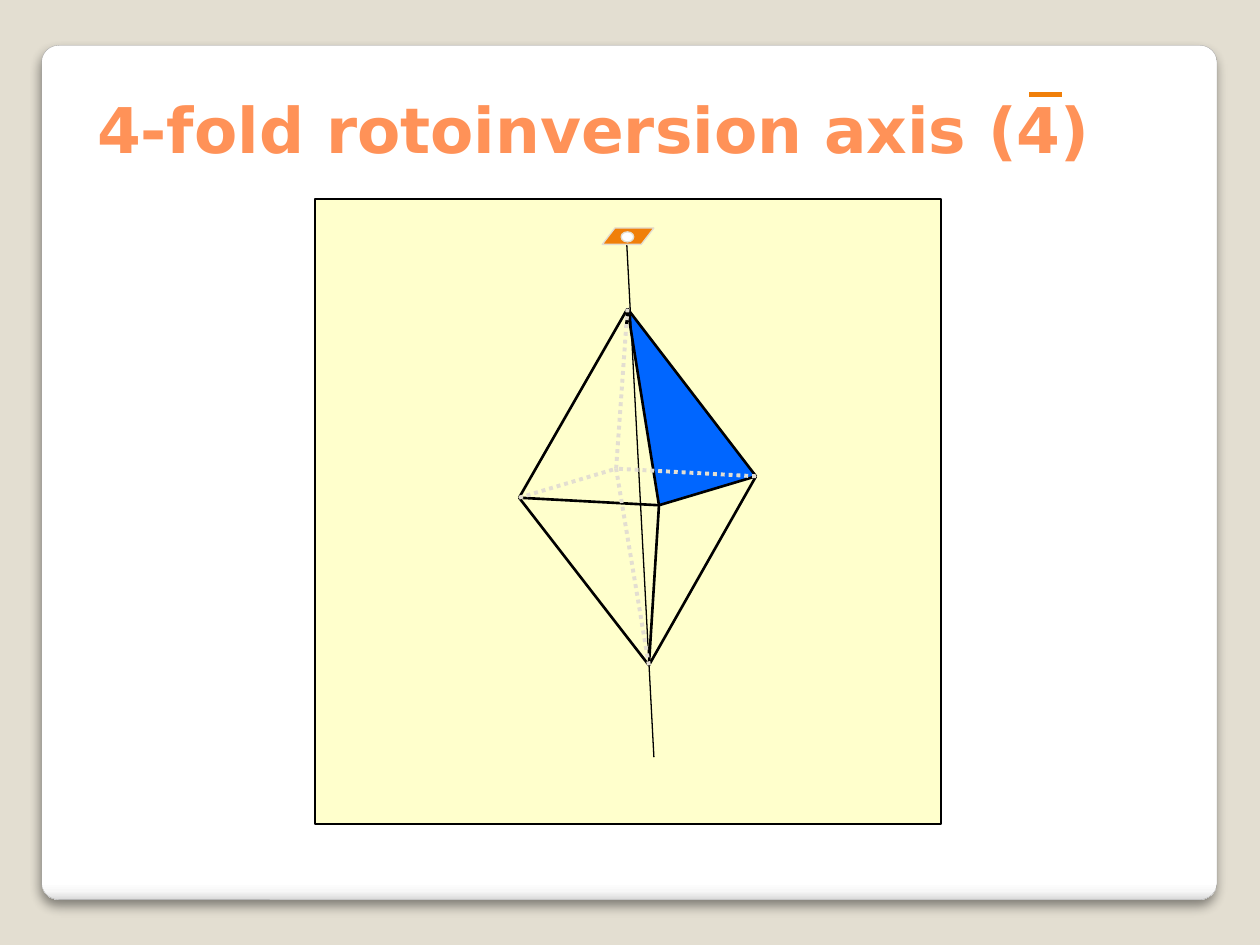
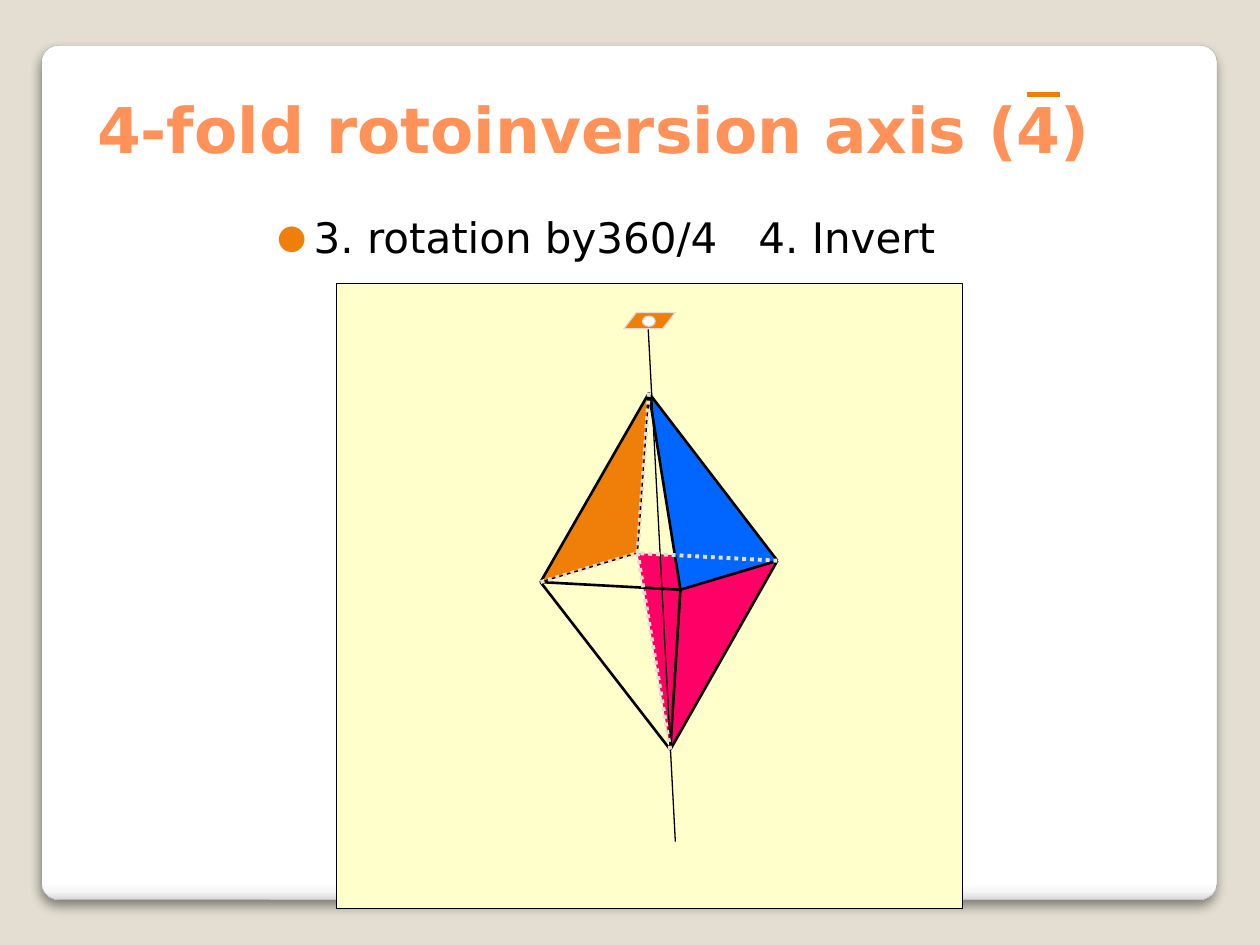
"""Builds two slides on the 4-fold rotoinversion axis."""
from lxml import etree
from pptx import Presentation
from pptx.dml.color import RGBColor
from pptx.enum.dml import MSO_LINE
from pptx.enum.shapes import MSO_CONNECTOR, MSO_SHAPE
from pptx.enum.text import MSO_ANCHOR, MSO_AUTO_SIZE, PP_ALIGN
from pptx.oxml.ns import qn
from pptx.util import Inches, Pt

LINE = MSO_CONNECTOR.STRAIGHT
DOT = MSO_LINE.ROUND_DOT
ROUND = MSO_SHAPE.ROUNDED_RECTANGLE
RECT = MSO_SHAPE.RECTANGLE
SLANT = MSO_SHAPE.PARALLELOGRAM
OVAL = MSO_SHAPE.OVAL
BOTTOM = MSO_ANCHOR.BOTTOM
FIXED = MSO_AUTO_SIZE.NONE
LEFT = PP_ALIGN.LEFT

SAND = RGBColor(0xE3, 0xDE, 0xD1)
GRAY = RGBColor(0xA4, 0xA4, 0xA4)
WHITE = RGBColor(0xFF, 0xFF, 0xFF)
BLACK = RGBColor(0, 0, 0)
CREAM = RGBColor(0xFF, 0xFF, 0xCC)
PEACH = RGBColor(0xFF, 0x92, 0x58)
ORANGE = RGBColor(0xF0, 0x7F, 0x09)
BLUE = RGBColor(0, 0x66, 0xFF)
PINK = RGBColor(0xFF, 0, 0x66)
FONT = "DejaVu Sans"

FADE = [(0, "FFFFFF"), (98, "FFFFFF"), (99, "F7F7F7"), (100, "DADADA")]
NODES = {"top": (2.48, 0.87), "right": (3.5, 2.2), "front": (2.73, 2.43),
         "left": (1.62, 2.37), "base": (2.65, 3.7), "back": (2.39, 2.14)}
EDGES = [("top", "front"), ("top", "right"), ("top", "left"),
         ("front", "right"), ("front", "left"), ("front", "base"),
         ("right", "base"), ("left", "base")]
HIDDEN = [("left", "back"), ("back", "top"), ("right", "back"), ("base", "back")]
RIGHT_FACE = (("top", "front", "right"), BLUE, None)
BASE_FACE = (("back", "right", "base"), PINK, None)
LEFT_FACE = (("top", "left", "back"), ORANGE, BLACK)


def node(parent, tag, **attrs):
    """Add a drawing element with its attributes."""
    child = etree.SubElement(parent, qn(tag))
    for key, value in attrs.items():
        child.set(key, str(value))
    return child


class Deck:
    """Holds the style and the current slide."""

    def __init__(self):
        """Start a deck with the shared backdrop colour."""
        self.prs = Presentation()
        self.prs.slide_width, self.prs.slide_height = Inches(10), Inches(7.5)
        fill = self.prs.slide_master.background.fill
        fill.solid()
        fill.fore_color.rgb = SAND
        self.slide = None

    def start(self, bar):
        """Add a slide with card, title and the bar over the 4."""
        self.slide = self.prs.slides.add_slide(self.prs.slide_layouts[5])
        self.card()
        title = self.slide.shapes.title
        title.left, title.top = Inches(0.67), Inches(0)
        title.width, title.height = Inches(8.5), Inches(1.37)
        frame = title.text_frame
        frame.auto_size = FIXED
        frame.vertical_anchor = BOTTOM
        frame.paragraphs[0].alignment = LEFT
        self.run(frame.paragraphs[0], "4-fold rotoinversion axis (4)", 36, PEACH, True)
        self.line((bar, 0.75), (bar + 0.26, 0.75), ORANGE, 3)

    def card(self):
        """Draw the shaded white card behind everything."""
        card = self.shape(ROUND, (0.33, 0.36, 9.33, 6.78), WHITE, GRAY, 0.16, 0.02)
        card.fill.gradient()
        card.fill.gradient_angle = 270
        props = card.element.spPr
        stops = props.find(".//" + qn("a:gsLst"))
        for old in list(stops):
            stops.remove(old)
        for place, tint in FADE:
            node(node(stops, "a:gs", pos=place * 1000), "a:srgbClr", val=tint)
        shade = node(props.find(qn("a:effectLst")), "a:outerShdw", blurRad=Pt(6),
                     dist=Pt(4), dir=5400000, algn="t", rotWithShape=0)
        node(node(shade, "a:srgbClr", val="000000"), "a:alpha", val=44000)
        self.slide.shapes.element.insert(2, card.element)

    def run(self, para, text, size, color, bold=False):
        """Add one styled run."""
        font_run = para.add_run()
        font_run.text = text
        font = font_run.font
        font.name, font.size, font.bold = FONT, Pt(size), bold
        font.color.rgb = color

    def paint(self, shape, fill, edge, width=0.75):
        """Set the fill and outline of a shape."""
        shape.shadow.inherit = False
        shape.fill.solid()
        shape.fill.fore_color.rgb = fill
        if edge is None:
            shape.line.fill.background()
        else:
            shape.line.color.rgb = edge
            shape.line.width = Pt(width)

    def shape(self, kind, box, fill, edge, width=0.75, bend=None):
        """Add a preset shape."""
        shape = self.slide.shapes.add_shape(kind, *map(Inches, box))
        if bend is not None:
            shape.adjustments[0] = bend
        self.paint(shape, fill, edge, width)
        return shape

    def line(self, start, end, color, width, dash=None):
        """Add a straight line."""
        line = self.slide.shapes.add_connector(LINE, *map(Inches, start + end))
        line.line.color.rgb = color
        line.line.width = Pt(width)
        if dash is not None:
            line.line.dash_style = dash
        node(line.element.spPr, "a:effectLst")

    def face(self, points, fill, edge):
        """Add a filled polygon."""
        first, *rest = [tuple(map(Inches, point)) for point in points]
        path = self.slide.shapes.build_freeform(*first)
        path.add_line_segments(rest, close=True)
        self.paint(path.convert_to_shape(), fill, edge)

    def crystal(self, left, top, below, above=()):
        """Draw the panel, the axis and the crystal with its faces."""
        def spot(x, y):
            return left + x, top + y

        def fill(faces):
            for names, color, edge in faces:
                self.face([nodes[name] for name in names], color, edge)

        nodes = {name: spot(*point) for name, point in NODES.items()}
        self.shape(RECT, (left, top, 4.97, 4.96), CREAM, BLACK)
        fill(below)
        self.line(spot(2.47, 0.27), spot(2.69, 4.43), BLACK, 0.75)
        fill(above)
        self.shape(SLANT, spot(2.28, 0.23) + (0.41, 0.13), ORANGE, SAND, bend=0.77)
        self.shape(OVAL, spot(2.43, 0.26) + (0.1, 0.08), WHITE, SAND)
        self.line(nodes["top"], spot(2.47, 1.02), BLACK, 1.5)
        for start, end in EDGES:
            self.line(nodes[start], nodes[end], BLACK, 1.5)
        for start, end in HIDDEN:
            self.line(nodes[start], nodes[end], SAND, 2.25, DOT)

    def bullet(self, box, text, stop):
        """Add one bullet line with a tab stop."""
        frame = self.slide.shapes.add_textbox(*map(Inches, box)).text_frame
        frame.word_wrap = True
        frame.margin_left, frame.margin_top = Inches(0.2), Inches(0.1)
        para = frame.paragraphs[0]
        props = para._p.get_or_add_pPr()
        props.set("marL", str(Inches(0.29)))
        props.set("indent", str(Inches(-0.29)))
        node(node(props, "a:buClr"), "a:srgbClr", val=ORANGE)
        node(props, "a:buSzPct", val=80000)
        node(props, "a:buFont", typeface=FONT)
        node(props, "a:buChar", char="●")
        node(node(props, "a:tabLst"), "a:tab", pos=Inches(stop), algn="l")
        self.run(para, text, 24, BLACK)


def main():
    """Build and save the deck."""
    deck = Deck()
    deck.start(8.17)
    deck.crystal(2.5, 1.58, [RIGHT_FACE])
    deck.start(8.15)
    deck.crystal(2.67, 2.25, [BASE_FACE, RIGHT_FACE], [LEFT_FACE])
    deck.bullet((2, 1.58, 6.83, 0.58), "3. rotation by360/4\t4. Invert", 3.82)
    deck.prs.save("out.pptx")


if __name__ == "__main__":
    main()
